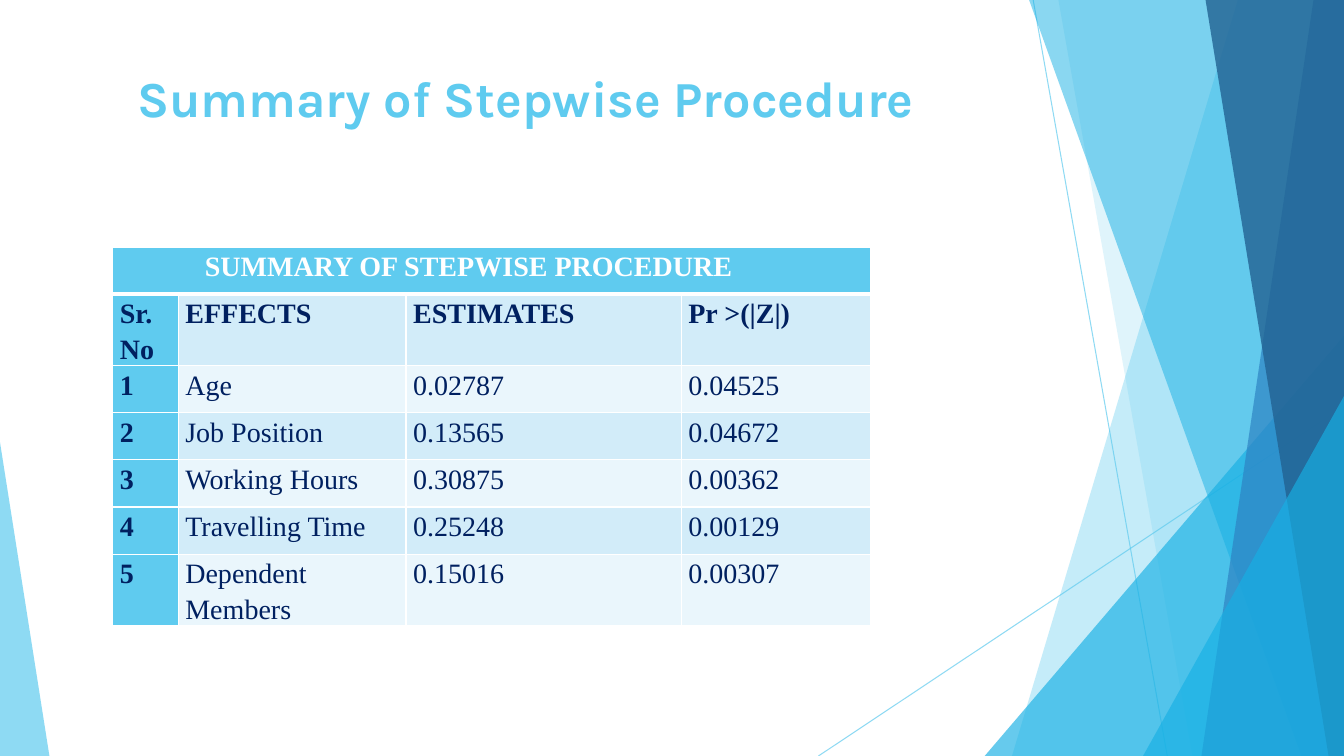
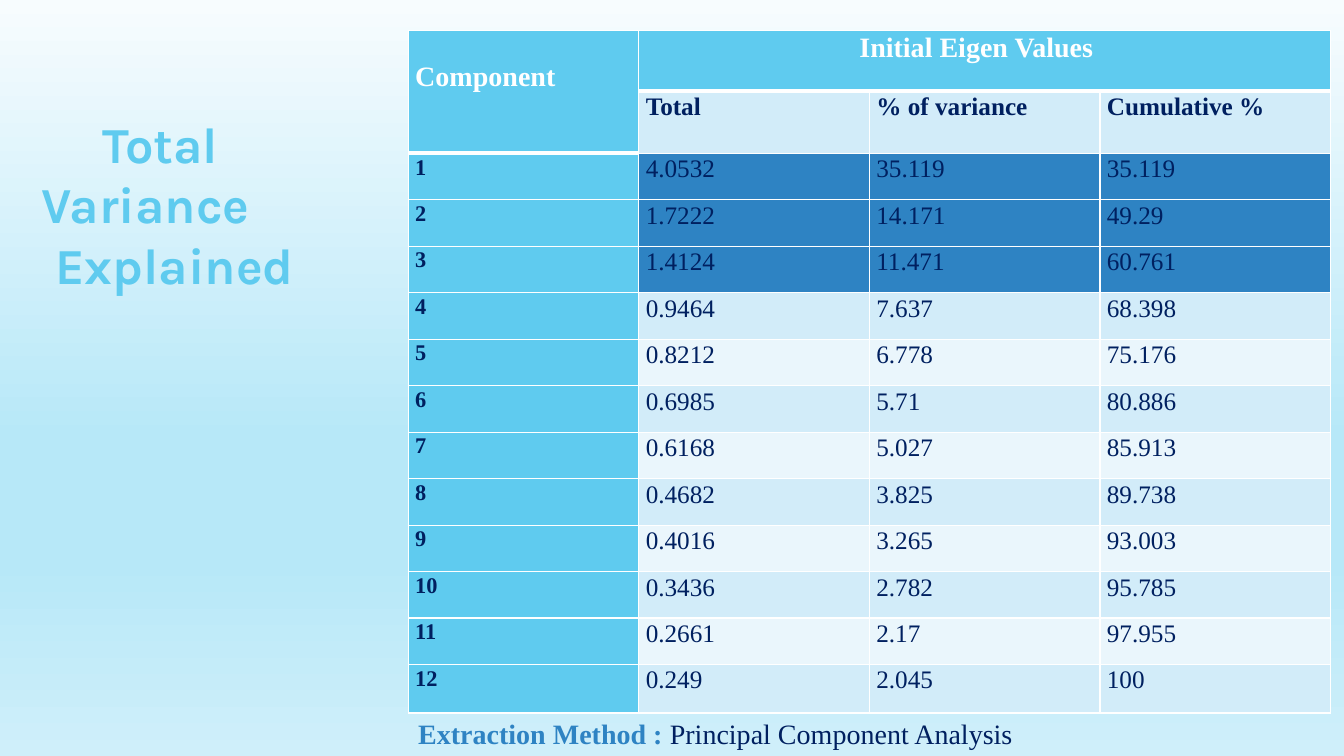
"""Builds two slides of result tables: stepwise procedure and total variance explained."""
from lxml import etree
from pptx import Presentation
from pptx.dml.color import RGBColor
from pptx.enum.shapes import MSO_CONNECTOR, MSO_SHAPE
from pptx.enum.text import MSO_ANCHOR, MSO_AUTO_SIZE, PP_ALIGN
from pptx.oxml.ns import qn
from pptx.util import Pt

W, H = 960, 540
SKY, CYAN, BLUE, DEEP = "5FCBEF", "17B0E4", "2E83C3", "226292"
NAVY, WHITE, BAND, PALE = "002060", "FFFFFF", "D2ECF9", "EAF6FC"
HEAD_FONT, BODY_FONT = "Karla", "Times New Roman"

DECOR = [
    ("line", (738, 0, 833.8, H), SKY, 70),
    ("line", (W, 290.2, 584.6, H), SKY, 70),
    ("band", (884.2, 722.9), SKY, 36),
    ("band", (756, 851.8), SKY, 20),
    ("triangle", (703.4, 239.8, 256.6, 300.2, 1), CYAN, 66),
    ("band", (735.1, 929.5), CYAN, 50),
    ("band", (938.2, 858.2), BLUE, 70),
    ("band", (861.1, 949), DEEP, 80),
    ("triangle", (816.5, 283, 143.5, 257, 1), CYAN, 66),
    ("triangle", (0, 316, 35.3, 224, 0), SKY, 70),
]
BACKDROP = [(0, "F7FCFE"), (58, "B7E8F8"), (74, "B7E8F8"), (100, "CFEFFA")]

STEPWISE = [
    ("SUMMARY OF STEPWISE PROCEDURE", "", "", ""),
    ("Sr.No", "EFFECTS", "ESTIMATES", "Pr >(|Z|)"),
    ("1", "Age", "0.02787", "0.04525"),
    ("2", "Job Position", "0.13565", "0.04672"),
    ("3", "Working Hours", "0.30875", "0.00362"),
    ("4", "Travelling Time", "0.25248", "0.00129"),
    ("5", "Dependent Members", "0.15016", "0.00307"),
]
VARIANCE = [
    ("Component", "Initial Eigen Values", "", ""),
    ("", "Total", "% of variance", "Cumulative %"),
    ("1", "4.0532", "35.119", "35.119"),
    ("2", "1.7222", "14.171", "49.29"),
    ("3", "1.4124", "11.471", "60.761"),
    ("4", "0.9464", "7.637", "68.398"),
    ("5", "0.8212", "6.778", "75.176"),
    ("6", "0.6985", "5.71", "80.886"),
    ("7", "0.6168", "5.027", "85.913"),
    ("8", "0.4682", "3.825", "89.738"),
    ("9", "0.4016", "3.265", "93.003"),
    ("10", "0.3436", "2.782", "95.785"),
    ("11", "0.2661", "2.17", "97.955"),
    ("12", "0.249", "2.045", "100"),
]


def rgb(color):
    """Turn a hex string into a colour."""
    return RGBColor.from_string(color)


def add_run(p, text, size, color, bold=True, font=BODY_FONT):
    """Add one formatted run."""
    r = p.add_run()
    r.text = text
    r.font.size, r.font.bold, r.font.name = Pt(size), bold, font
    r.font.color.rgb = rgb(color)


def indent(p, points):
    """Set the left indent of a paragraph."""
    pPr = p._p.get_or_add_pPr()
    pPr.set("marL", str(Pt(points)))
    pPr.set("indent", "0")


def set_title(s, box, lines):
    """Place the title and write its lines, each with its own indent."""
    sp = s.shapes.title
    sp.left, sp.top, sp.width, sp.height = map(Pt, box)
    tf = sp.text_frame
    tf.auto_size, tf.vertical_anchor = MSO_AUTO_SIZE.NONE, MSO_ANCHOR.TOP
    for i, (text, left) in enumerate(lines):
        p = tf.paragraphs[0] if i == 0 else tf.add_paragraph()
        p.alignment, p.space_before = PP_ALIGN.LEFT, Pt(0)
        indent(p, left)
        add_run(p, text, 36, SKY, font=HEAD_FONT)


def add_decor(s):
    """Draw the translucent facets and thin lines."""
    for kind, geo, color, alpha in DECOR:
        if kind == "line":
            sp = s.shapes.add_connector(MSO_CONNECTOR.STRAIGHT, *map(Pt, geo))
            sp.line.width, sp.line.color.rgb = Pt(0.75), rgb(color)
            etree.SubElement(sp._element.spPr, qn("a:effectLst"))
        else:
            if kind == "band":
                top, bottom = geo
                outline = s.shapes.build_freeform(Pt(top), 0)
                corners = [(W, 0), (W, H), (bottom, H)]
                outline.add_line_segments([(Pt(x), Pt(y)) for x, y in corners])
                sp = outline.convert_to_shape()
            else:
                sp = s.shapes.add_shape(MSO_SHAPE.ISOSCELES_TRIANGLE, *map(Pt, geo[:4]))
                sp.adjustments[0] = geo[4]
            sp.fill.solid()
            sp.fill.fore_color.rgb = rgb(color)
            sp.line.fill.background()
            sp.shadow.inherit = False
        clr = sp._element.spPr.find(".//" + qn("a:srgbClr"))
        etree.SubElement(clr, qn("a:alpha"), val=str(alpha * 1000))


def set_backdrop(s):
    """Fill the background with the vertical gradient."""
    fill = s.background.fill
    fill.gradient()
    fill.gradient_angle = 270
    stops = s._element.find(".//" + qn("a:gsLst"))
    for stop in list(stops):
        stops.remove(stop)
    for pos, color in BACKDROP:
        stop = etree.SubElement(stops, qn("a:gs"), pos=str(pos * 1000))
        etree.SubElement(stop, qn("a:srgbClr"), val=color)


def set_borders(cell, top, bottom):
    """Give a cell white borders of the given widths."""
    tcPr = cell._tc.get_or_add_tcPr()
    for side, width in zip("LRTB", (1, 1, top, bottom)):
        ln = etree.SubElement(tcPr, qn("a:ln" + side), w=str(Pt(width)))
        fill = etree.SubElement(ln, qn("a:solidFill"))
        etree.SubElement(fill, qn("a:srgbClr"), val=WHITE)


def add_table(s, at, data, widths, heights, merges, spacing, style):
    """Add a table; style gives (fill, size, colour, bold, indent) by row and column."""
    sp = s.shapes.add_table(len(data), len(widths), *map(Pt, at),
                            Pt(sum(widths)), Pt(sum(heights)))
    table = sp.table
    for col, width in zip(table.columns, widths):
        col.width = Pt(width)
    for row, height in zip(table.rows, heights):
        row.height = Pt(height)
    header = {(0, j) for j in range(len(widths))}
    for r0, c0, r1, c1 in merges:
        table.cell(r0, c0).merge(table.cell(r1, c1))
        header |= {(i, c0) for i in range(r0, r1 + 1)}
    for i, row in enumerate(data):
        for j, text in enumerate(row):
            cell = table.cell(i, j)
            color, size, ink, bold, left = style(i, j)
            cell.margin_left = cell.margin_right = Pt(5)
            cell.margin_top = cell.margin_bottom = 0
            set_borders(cell, 3 if (i - 1, j) in header else 1,
                        3 if (i, j) in header else 1)
            cell.fill.solid()
            cell.fill.fore_color.rgb = rgb(color)
            if text:
                p = cell.text_frame.paragraphs[0]
                p.line_spacing = spacing
                indent(p, left)
                add_run(p, text, size, ink, bold)
    return table


def stepwise_style(i, j):
    """Style the stepwise table."""
    if i == 0:
        return SKY, 20, WHITE, True, 60.7
    fill = SKY if j == 0 else BAND if i % 2 else PALE
    return fill, 20, NAVY, i == 1 or j == 0, 0


def variance_style(i, j):
    """Style the variance table, with the three retained components marked."""
    if i == 0:
        return SKY, 20, WHITE, True, 152.6 if j else 0
    if j == 0:
        return SKY, 16, NAVY, True, 0
    fill = BLUE if 2 <= i <= 4 else BAND if i % 2 else PALE
    return fill, 18, NAVY, i == 1, 0


def stepwise_slide(prs):
    """Build the stepwise procedure slide."""
    s = prs.slides.add_slide(prs.slide_layouts[5])
    add_decor(s)
    set_title(s, (54, 44.6, 676, 108), [("Summary of Stepwise Procedure", 36.7)])
    add_table(s, (80.6, 176.4), STEPWISE, [46.8, 162.7, 196.6, 135.4],
              [33.7] * len(STEPWISE), [(0, 0, 0, 3)], 1.15, stepwise_style)


def variance_slide(prs):
    """Build the total variance slide."""
    s = prs.slides.add_slide(prs.slide_layouts[5])
    set_backdrop(s)
    set_title(s, (22.3, 77, 208, 150.5),
              [("Total", 44), ("Variance", 0), ("Explained", 10)])
    heights = [43.2, 44.6] + [33.2] * 11 + [34.6]
    table = add_table(s, (291.6, 21.6), VARIANCE, [164.7] * 4, heights,
                      [(0, 0, 1, 0), (0, 1, 0, 3)], 1.07,
                      lambda i, j: variance_style(i, j) if i < 5 or j == 0
                      else (PALE if i % 2 == 0 else BAND,) + variance_style(i, j)[1:])
    table.cell(0, 0).margin_top = Pt(21)
    tf = s.shapes.add_textbox(Pt(291.6), Pt(508.3), Pt(445.7), Pt(31.7)).text_frame
    tf.word_wrap = True
    p = tf.paragraphs[0]
    add_run(p, "Extraction Method : ", 20, BLUE)
    add_run(p, "Principal Component Analysis", 20, NAVY, False)


def main():
    """Build and save the presentation."""
    prs = Presentation()
    prs.slide_width, prs.slide_height = Pt(W), Pt(H)
    stepwise_slide(prs)
    variance_slide(prs)
    prs.save("out.pptx")


if __name__ == "__main__":
    main()
